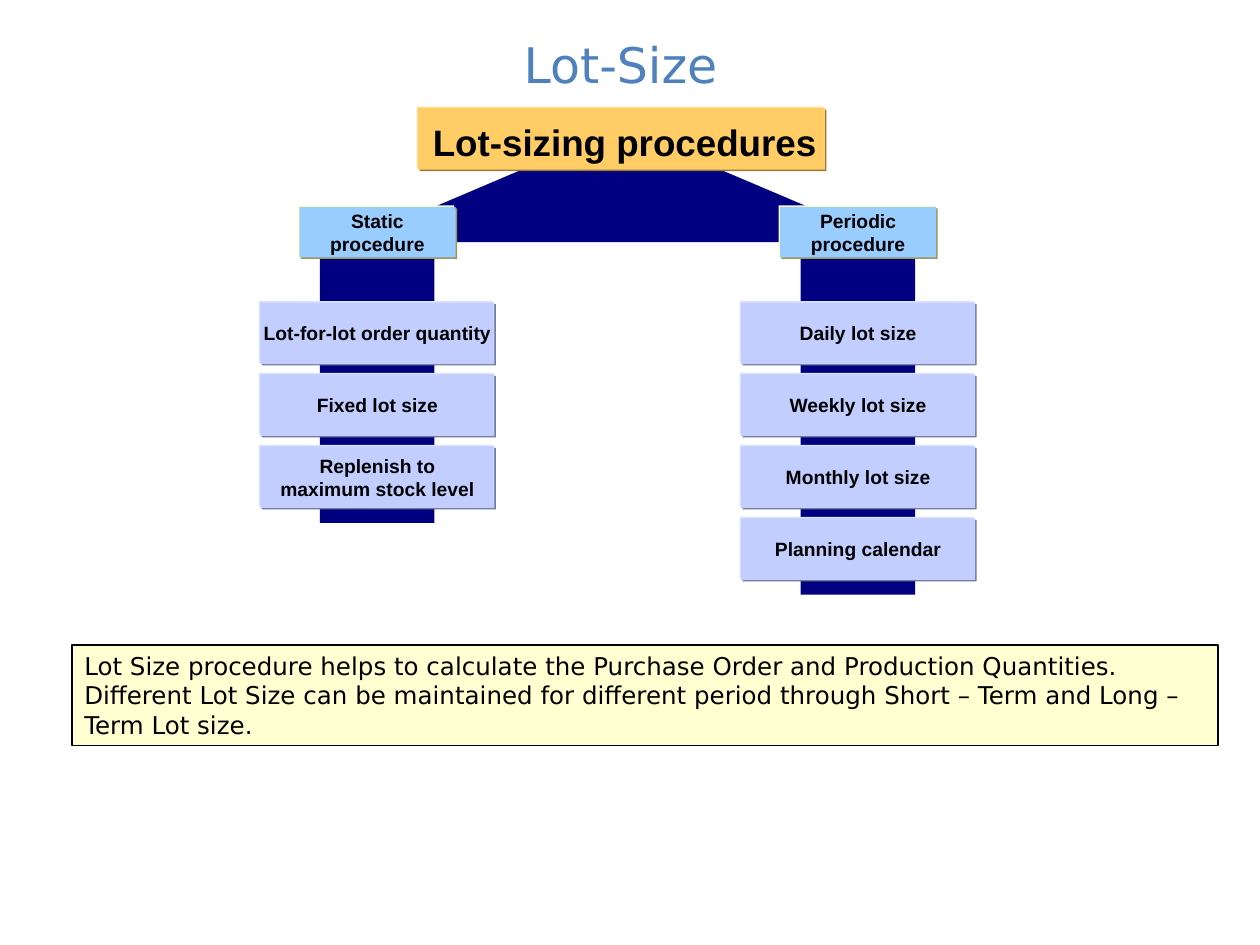
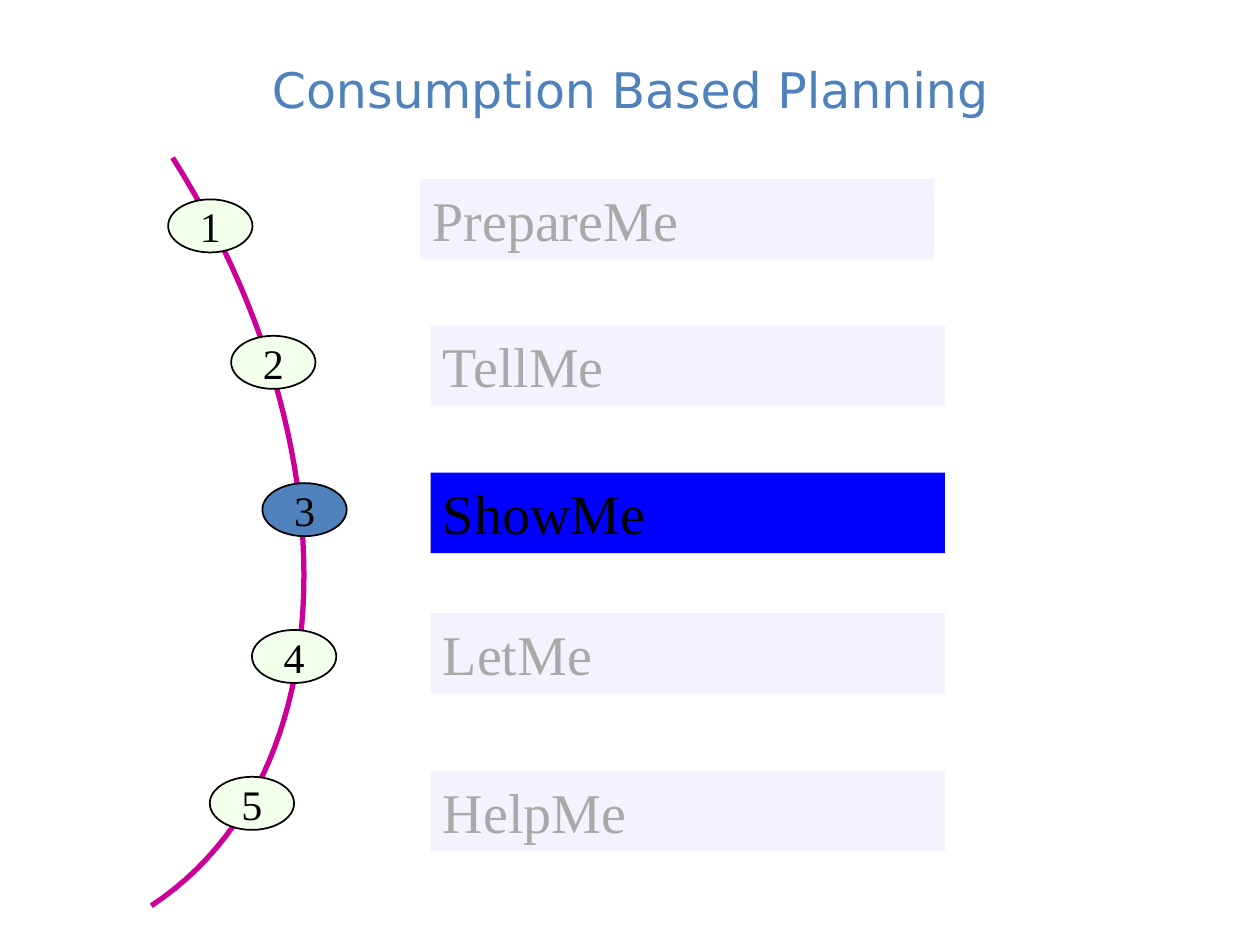
import pptx
import pptx.util
import pptx.dml.color
import pptx.enum.shapes
import pptx.enum.text

Cm, Pt = pptx.util.Cm, pptx.util.Pt
RGB = pptx.dml.color.RGBColor.from_string
SHAPE = pptx.enum.shapes.MSO_SHAPE
ALIGN = pptx.enum.text.PP_ALIGN
ANCHOR = pptx.enum.text.MSO_ANCHOR

COLORS = {
    "title": "4F81BD", "text": "000000", "muted": "A9A9A9", "navy": "000080",
    "note": "FFFFD1", "curve": "CC0099", "step": "F2FFEB", "step_now": "4F81BD",
    "bar": "F3F3FF", "bar_now": "0000FF",
    "root": "FFCC66", "root_light": "FFE0A3", "root_dark": "997A3D",
    "head": "99CCFF", "head_light": "FFFFC2", "head_dark": "99995C",
    "item": "C1CEFF", "item_light": "DAE2FF", "item_dark": "747C99",
}


def add_box(s, kind, x, y, w, h, fill=None, line=None):
    """Add a preset shape, measured in cm, with no shadow."""
    sp = s.shapes.add_shape(kind, Cm(x), Cm(y), Cm(w), Cm(h))
    sp.shadow.inherit = False
    if fill:
        sp.fill.solid()
        sp.fill.fore_color.rgb = RGB(COLORS[fill])
    if line:
        sp.line.color.rgb = RGB(COLORS[line])
        sp.line.width = Pt(1)
    else:
        sp.line.fill.background()
    return sp


def write(sp, text, font, size, color="text", bold=False,
          align=ALIGN.CENTER, anchor=ANCHOR.MIDDLE, wrap=True):
    tf = sp.text_frame
    tf.text = text
    tf.word_wrap = wrap
    tf.vertical_anchor = anchor
    for p in tf.paragraphs:
        p.alignment = align
        for r in p.runs:
            r.font.name = font
            r.font.size = Pt(size)
            r.font.bold = bold
            r.font.color.rgb = RGB(COLORS[color])


prs = pptx.Presentation()
prs.slide_width, prs.slide_height = Cm(25.4), Cm(19.05)

# Both slides and their titles
slides = []
for title, box in [
    ("Lot-Size", (0.38, 0.43, 24.26, 1.73)),
    ("Consumption Based Planning", (1.27, 0.76, 22.86, 2.08)),
]:
    s = prs.slides.add_slide(prs.slide_layouts[6])
    write(s.shapes.add_textbox(*map(Cm, box)), title, "DejaVu Sans", 28, "title")
    slides.append(s)
lot_slide, planning_slide = slides

# Slide 1: tree of lot-sizing procedures
s = lot_slide
note = add_box(s, SHAPE.RECTANGLE, 1.45, 13, 23.11, 2.03, "note", "text")
write(note, "Lot Size procedure helps to calculate the Purchase Order and "
      "Production Quantities.\nDifferent Lot Size can be maintained for different "
      "period through Short – Term and Long – Term Lot size.",
      "DejaVu Sans", 14, align=ALIGN.LEFT, anchor=ANCHOR.TOP)

branches = [
    (7.61, 4.88, 5.66, "Static\nprocedure",
     ["Lot-for-lot order quantity", "Fixed lot size",
      "Replenish to\nmaximum stock level"]),
    (17.3, 5.03, 6.96, "Periodic\nprocedure",
     ["Daily lot size", "Weekly lot size", "Monthly lot size",
      "Planning calendar"]),
]
ITEM_TOP, ITEM_PITCH = 6.1, 1.45

# Panels as (style, centre x, top, width, height, text, size)
panels = [("root", 12.53, 2.18, 8.2, 1.24, "Lot-sizing procedures", 21)]
for center, stem_top, stem_height, head, items in branches:
    add_box(s, SHAPE.RECTANGLE, center - 1.16, stem_top, 2.31, stem_height, "navy")
    panels.append(("head", center, 4.17, 3.15, 1.02, head, 11))
    for i, item in enumerate(items):
        top = ITEM_TOP + i * ITEM_PITCH
        panels.append(("item", center, top, 4.72, 1.24, item, 11))

roof = s.shapes.build_freeform(Cm(12.52), Cm(2.57))
roof.add_line_segments([(Cm(7.09), Cm(4.88)), (Cm(17.96), Cm(4.88))])
sp = roof.convert_to_shape()
sp.shadow.inherit = False
sp.fill.solid()
sp.fill.fore_color.rgb = RGB(COLORS["navy"])
sp.line.fill.background()

for style, center, top, w, h, text, size in panels:
    for suffix, shift in [("_light", -0.03), ("_dark", 0.03), ("", 0)]:
        sp = add_box(s, SHAPE.RECTANGLE, center - w / 2 + shift, top + shift, w, h,
                     style + suffix)
    write(sp, text, "Arial", size, bold=True, wrap=False)
    tf = sp.text_frame
    tf.margin_left = tf.margin_top = Cm(0.13 if style == "root" else 0)
    tf.margin_right = tf.margin_bottom = 0

# Slide 2: five steps along a curve
s = planning_slide
curve_points = [(3.48, 3.18), (7.16, 8.99), (6.99, 15.67), (3.05, 18.26)]
SEGMENTS = 48
samples = []
for i in range(SEGMENTS + 1):
    t = i / SEGMENTS
    weights = [(1 - t) ** 3, 3 * t * (1 - t) ** 2, 3 * t ** 2 * (1 - t), t ** 3]
    samples.append(tuple(Cm(sum(k * pt[axis] for k, pt in zip(weights, curve_points)))
                         for axis in (0, 1)))
curve = s.shapes.build_freeform(*samples[0])
curve.add_line_segments(samples[1:], close=False)
sp = curve.convert_to_shape()
sp.shadow.inherit = False
sp.fill.background()
sp.line.color.rgb = RGB(COLORS["curve"])
sp.line.width = Pt(3)

steps = [
    ("PrepareMe", 3.39, 4.02, 8.47, 3.61),
    ("TellMe", 4.66, 6.77, 8.68, 6.56),
    ("ShowMe", 5.29, 9.74, 8.68, 9.53),
    ("LetMe", 5.08, 12.7, 8.68, 12.36),
    ("HelpMe", 4.23, 15.66, 8.68, 15.54),
]
CURRENT = "ShowMe"
for number, (name, step_x, step_y, bar_x, bar_y) in enumerate(steps, 1):
    now = "_now" if name == CURRENT else ""
    sp = add_box(s, SHAPE.OVAL, step_x, step_y, 1.7, 1.07, "step" + now, "text")
    write(sp, str(number), "Times New Roman", 24, wrap=False)
    sp = add_box(s, SHAPE.RECTANGLE, bar_x, bar_y, 10.37, 1.62, "bar" + now)
    write(sp, name, "Times New Roman", 32, "text" if now else "muted",
          align=ALIGN.LEFT, anchor=ANCHOR.TOP)

prs.save("out.pptx")
